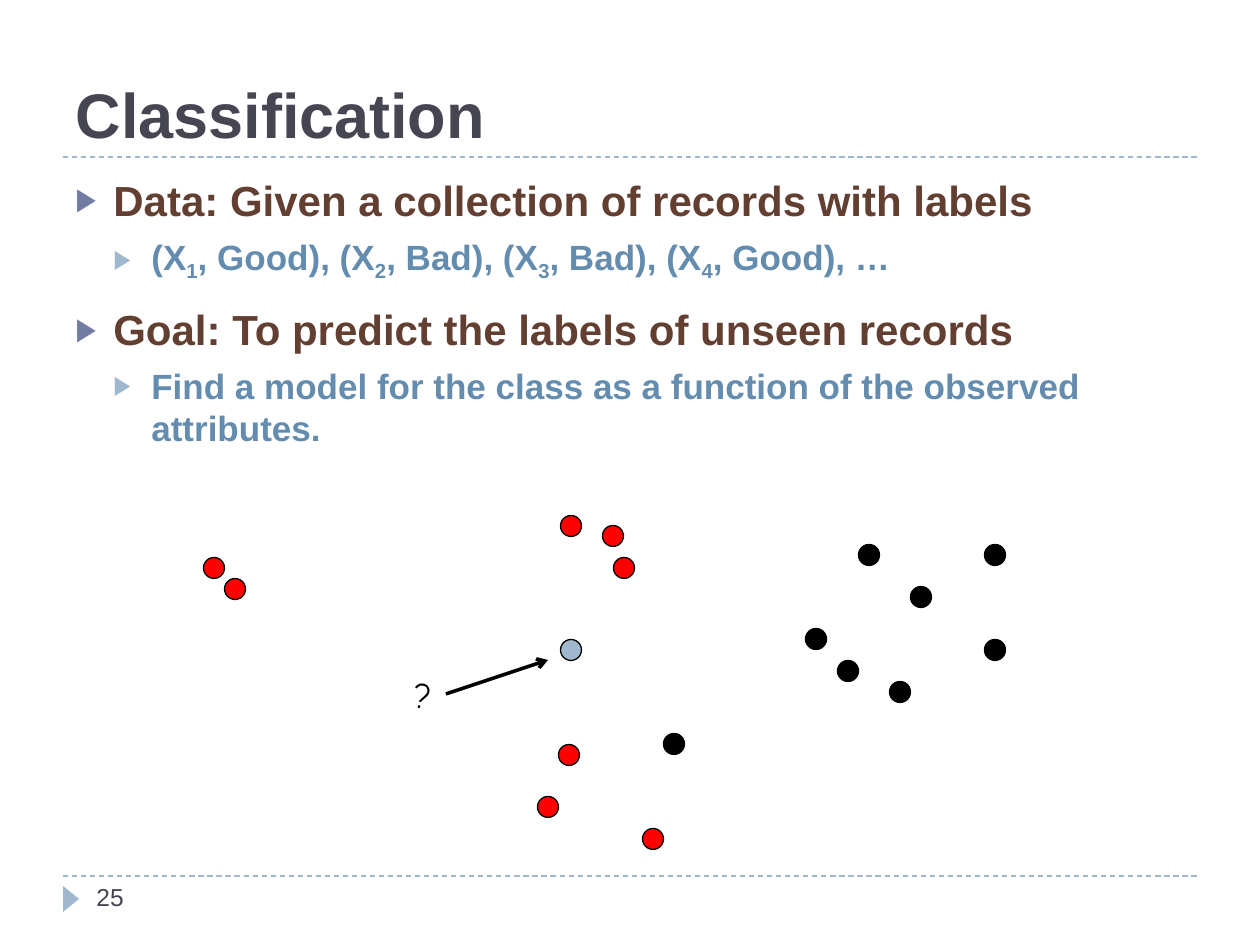
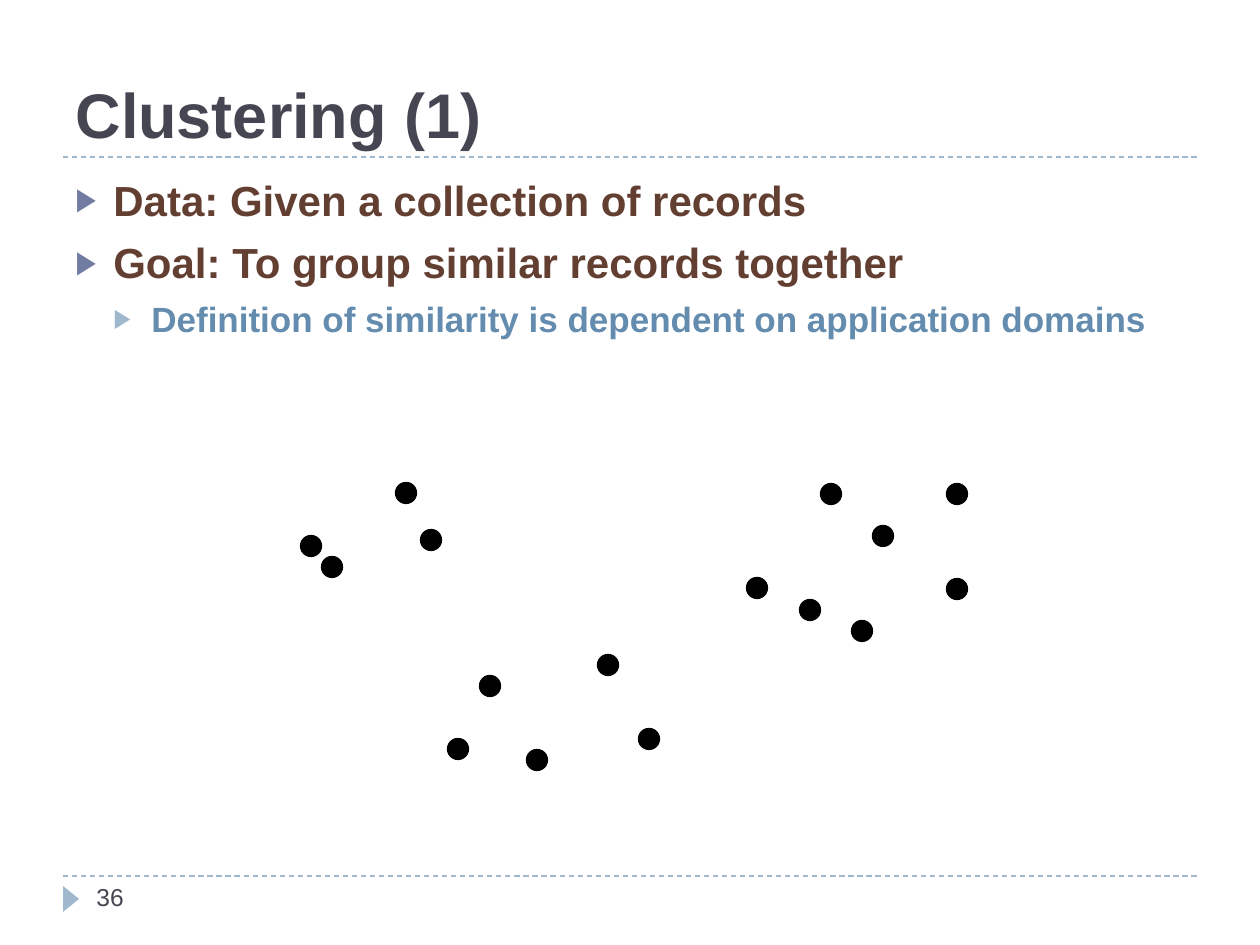
"""Build two slides that explain classification and clustering with scattered records."""
import pptx
import pptx.dml.color
import pptx.enum.dml
import pptx.enum.shapes
import pptx.enum.text
import pptx.oxml
import pptx.oxml.ns
import pptx.util
import lxml.etree

PX = 7257
DOT = 21
INDENT = 38
SLATE, BROWN, BLUE = "464653", "633F32", "638CAE"
INDIGO, PALE, RED, BLACK = "727CA3", "9FB8CD", "FF0000", "000000"
LEVELS = [
    {"size": 24, "color": BROWN, "bullet": INDIGO},
    {"size": 20, "color": BLUE, "bullet": PALE},
]
RULES = [(63, y, 1197, y, PALE, 0.75) for y in (157, 876)]

SLIDES = [
    {
        "title": "Classification",
        "number": "25",
        "body": [
            (0, 12, ["Data: Given a collection of records with labels"]),
            (1, 6, ["(X", "1", ", Good), (X", "2", ", Bad), (X", "3",
                    ", Bad), (X", "4", ", Good), …"]),
            (0, 12, ["Goal: To predict the labels of unseen records"]),
            (1, 6, ["Find a model for the class as a function of the observed attributes."]),
        ],
        "dots": {
            BLACK: [(674, 744), (816, 639), (848, 671), (900, 692),
                    (995, 650), (921, 597), (869, 555), (995, 555)],
            RED: [(569, 755), (548, 807), (653, 839), (624, 568),
                  (214, 568), (235, 589), (613, 536), (571, 526)],
            PALE: [(571, 650)],
        },
        "arrows": [(446, 694, 548, 660, BLACK, 2)],
        "labels": [("?", (402, 667, 44, 55), 20, BLACK, "Comic Neue")],
    },
    {
        "title": "Clustering (1)",
        "number": "36",
        "body": [
            (0, 12, ["Data: Given a collection of records"]),
            (0, 7, ["Goal: To group similar records together"]),
            (1, 6, ["Definition of similarity is dependent on application domains"]),
        ],
        "dots": {
            BLACK: [(649, 739), (757, 588), (810, 610), (862, 631),
                    (957, 589), (883, 536), (831, 494), (957, 494),
                    (490, 686), (458, 749), (537, 760), (608, 665),
                    (311, 546), (332, 567), (431, 540), (406, 493)],
        },
        "arrows": [],
        "labels": [],
    },
]


def rgb(value):
    return pptx.dml.color.RGBColor.from_string(value)


def add_text(paragraph, text, size=14, color=SLATE, font="Arial", bold=False, subscript=False):
    run = paragraph.add_run()
    run.text = text
    run.font.size = pptx.util.Pt(size)
    run.font.name = font
    run.font.bold = bold
    run.font.color.rgb = rgb(color)
    if subscript:
        run.font._element.set("baseline", "-25000")


presentation = pptx.Presentation()
presentation.slide_width = pptx.util.Inches(10)
presentation.slide_height = pptx.util.Inches(7.5)

for content in SLIDES:
    slide = presentation.slides.add_slide(presentation.slide_layouts[5])
    shapes = slide.shapes

    for x1, y1, x2, y2, color, width in RULES + content["arrows"]:
        line = shapes.add_connector(
            pptx.enum.shapes.MSO_CONNECTOR.STRAIGHT, x1 * PX, y1 * PX, x2 * PX, y2 * PX)
        line.line.color.rgb = rgb(color)
        line.line.width = pptx.util.Pt(width)
        if (x1, y1, x2, y2, color, width) in RULES:
            line.line.dash_style = pptx.enum.dml.MSO_LINE.DASH
        else:
            tail = lxml.etree.SubElement(line.line._get_or_add_ln(), pptx.oxml.ns.qn("a:tailEnd"))
            tail.set("type", "arrow")
        lxml.etree.SubElement(line._element.spPr, pptx.oxml.ns.qn("a:effectLst"))

    marker = shapes.add_shape(
        pptx.enum.shapes.MSO_SHAPE.ISOSCELES_TRIANGLE, 58 * PX, 891 * PX, 26 * PX, 16 * PX)
    marker.rotation = 90
    marker.shadow.inherit = False
    marker.fill.solid()
    marker.fill.fore_color.rgb = rgb(PALE)
    marker.line.fill.background()

    title = shapes.title
    title.left, title.top, title.width, title.height = 63 * PX, 21 * PX, 1134 * PX, 136 * PX
    title.text_frame.auto_size = pptx.enum.text.MSO_AUTO_SIZE.NONE
    title.text_frame.vertical_anchor = pptx.enum.text.MSO_ANCHOR.BOTTOM
    heading = title.text_frame.paragraphs[0]
    heading.alignment = pptx.enum.text.PP_ALIGN.LEFT
    add_text(heading, content["title"], size=36, bold=True)

    body = shapes.add_textbox(63 * PX, 168 * PX, 1134 * PX, 680 * PX).text_frame
    body.word_wrap = True
    for index, (level, space, pieces) in enumerate(content["body"]):
        paragraph = body.add_paragraph() if index else body.paragraphs[0]
        paragraph.level = level
        paragraph.space_before = pptx.util.Pt(space)
        style = LEVELS[level]
        properties = paragraph._p.get_or_add_pPr()
        properties.set("marL", str(INDENT * (level + 1) * PX))
        properties.set("indent", str(-INDENT * PX))
        bullet_color = lxml.etree.SubElement(properties, pptx.oxml.ns.qn("a:buClr"))
        lxml.etree.SubElement(bullet_color, pptx.oxml.ns.qn("a:srgbClr")).set("val", style["bullet"])
        for tag, name, value in (("a:buSzPct", "val", "76000"),
                                 ("a:buFont", "typeface", "Arial"),
                                 ("a:buChar", "char", "▶")):
            lxml.etree.SubElement(properties, pptx.oxml.ns.qn(tag)).set(name, value)
        for piece in pieces:
            add_text(paragraph, piece, size=style["size"], color=style["color"],
                     bold=True, subscript=piece.isdigit())

    for color, centers in content["dots"].items():
        for x, y in centers:
            dot = shapes.add_shape(
                pptx.enum.shapes.MSO_SHAPE.OVAL,
                x * PX - DOT * PX // 2, y * PX - DOT * PX // 2, DOT * PX, DOT * PX)
            dot.shadow.inherit = False
            dot.fill.solid()
            dot.fill.fore_color.rgb = rgb(color)
            dot.line.color.rgb = rgb(BLACK)
            dot.line.width = pptx.util.Pt(0.75)

    page_number = (content["number"], (84, 876, 273, 50), 14, SLATE, "Arial")
    for text, box, size, color, font in content["labels"] + [page_number]:
        label = shapes.add_textbox(*[length * PX for length in box])
        label.text_frame.word_wrap = text.isdigit()
        add_text(label.text_frame.paragraphs[0], text, size=size, color=color, font=font)

presentation.save("out.pptx")
